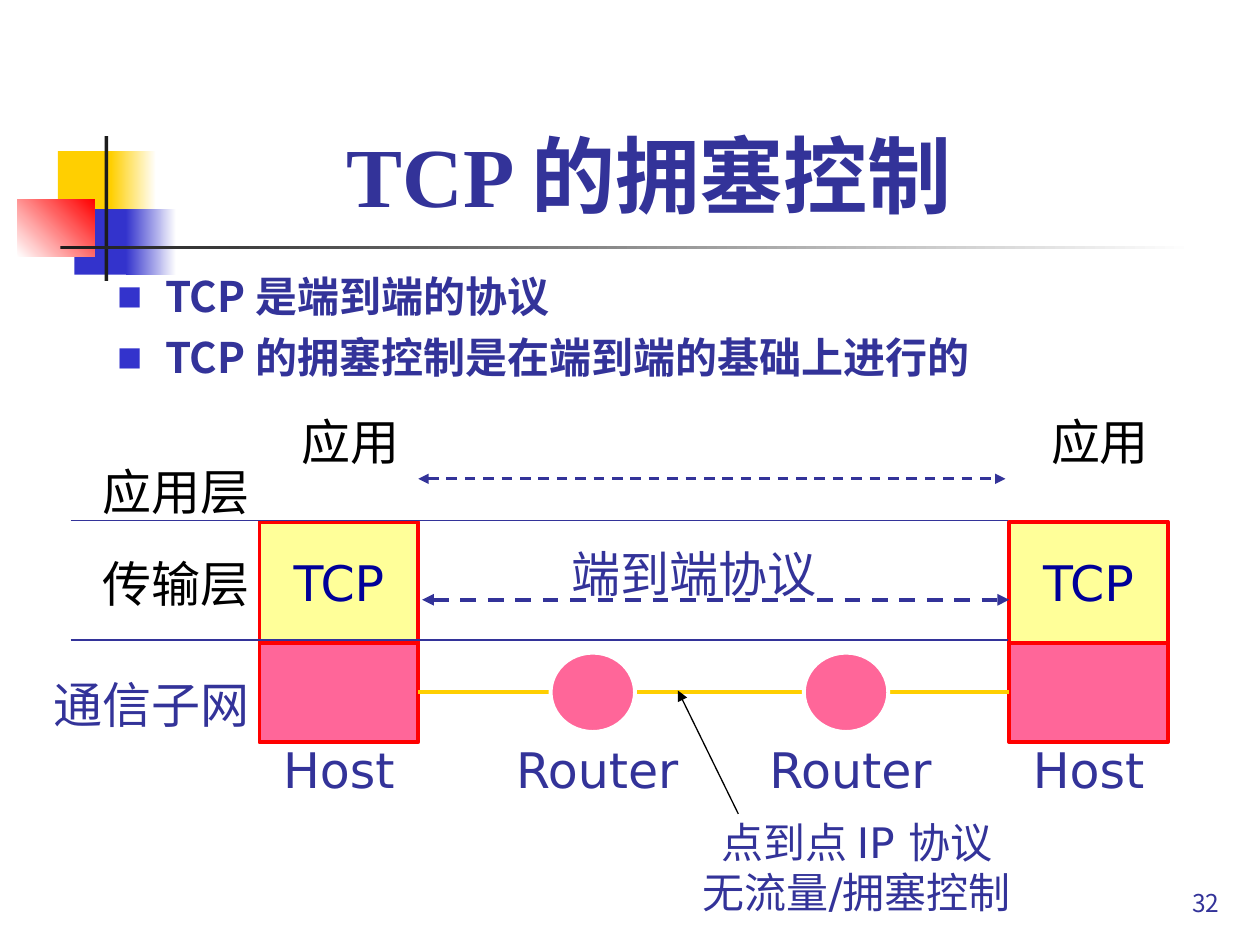
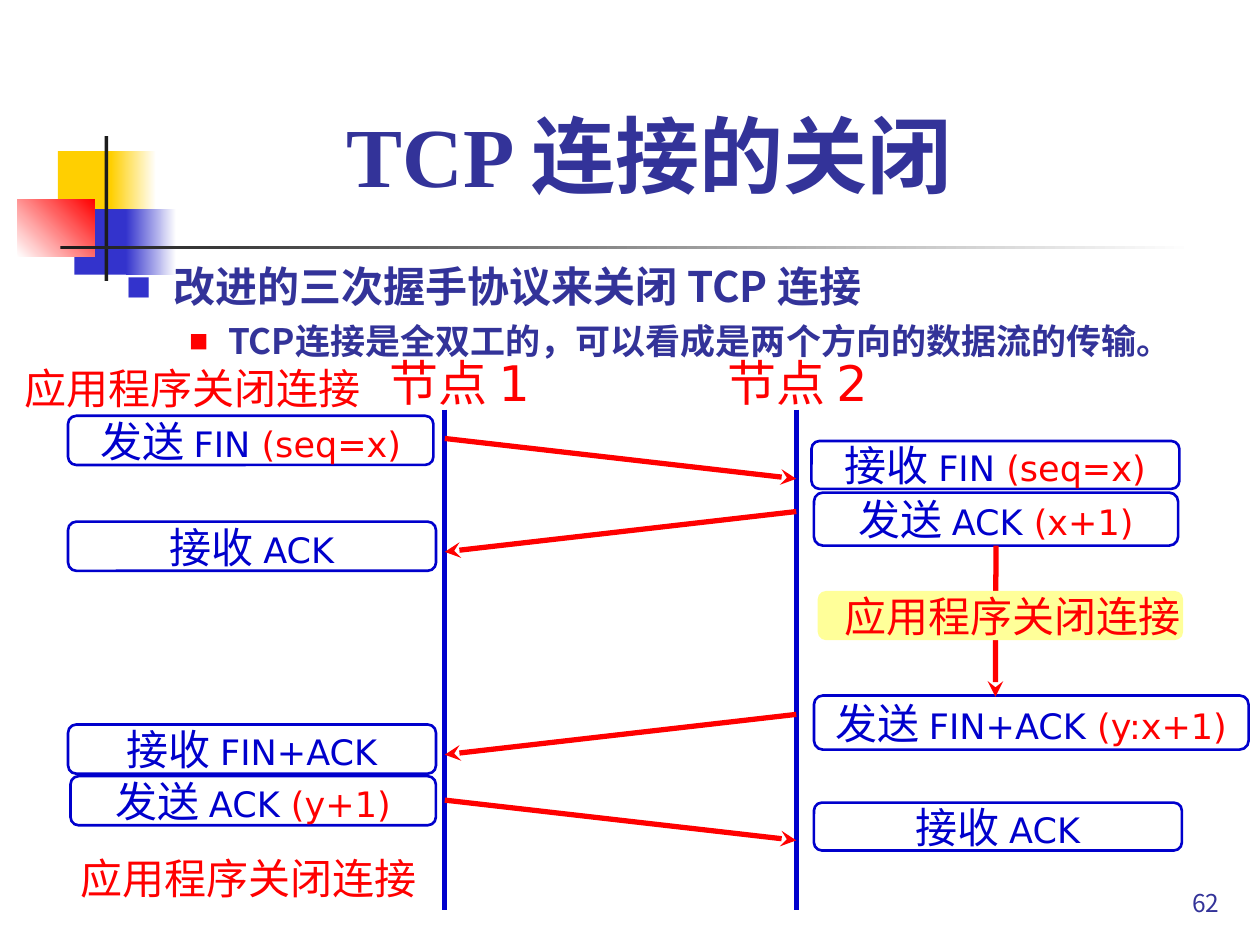
from dataclasses import dataclass
from typing import Optional

from lxml.etree import SubElement
from pptx import Presentation
from pptx.dml.color import RGBColor
from pptx.enum.dml import MSO_LINE
from pptx.enum.shapes import MSO_CONNECTOR, MSO_SHAPE
from pptx.enum.text import MSO_ANCHOR, MSO_AUTO_SIZE, PP_ALIGN
from pptx.oxml.ns import qn
from pptx.util import Emu, Inches, Pt

COLS, ROWS = 100, 75
CELL = Inches(10) // COLS
SANS, CJK, SERIF = "DejaVu Sans", "Noto Sans CJK JP", "Times New Roman"
HUES = {
    "ink": "333399", "navy": "000099", "blue": "0000CC", "bullet": "3333CC",
    "red": "FF0000", "pink": "FF6699", "pale": "FFFF99", "gold": "FFCF01",
    "black": "000000", "dark": "1C1C1C", "white": "FFFFFF",
}
LEFT, MID, RIGHT = PP_ALIGN.LEFT, PP_ALIGN.CENTER, PP_ALIGN.RIGHT
RECT, ROUND, OVAL = MSO_SHAPE.RECTANGLE, MSO_SHAPE.ROUNDED_RECTANGLE, MSO_SHAPE.OVAL


@dataclass
class Box:
    """A place on the grid, in columns and rows."""
    x: float
    y: float
    w: float
    h: float

    def emu(self) -> list[Emu]:
        return [cells(n) for n in (self.x, self.y, self.w, self.h)]


@dataclass
class Look:
    fill: Optional[str] = None
    line: Optional[str] = None
    width: float = 2.25
    fade: Optional[str] = None
    angle: float = 0


@dataclass
class Bit:
    text: str
    size: float = 28
    hue: str = "ink"
    font: str = SANS
    bold: bool = False


@dataclass
class Point:
    """A list entry with its bullet."""
    text: str
    level: int = 0


@dataclass
class Stroke:
    hue: str
    width: float
    dash: bool = False
    head: Optional[str] = None
    tail: Optional[str] = None


@dataclass
class Step:
    """One event of the handshake: verb, segment and numbers."""
    box: Box
    verb: str
    kind: str
    nums: str = ""


# size, margin, hang, space before, bullet colour, bullet percent
LEVELS = [(24, 0.38, -0.38, 6, "bullet", 60), (20, 0.81, -0.31, 5, "red", 55)]

DECOR = [
    (Box(4.6, 12, 4.8, 5.2), Look("gold")),
    (Box(8.8, 12, 3.6, 5.2), Look("gold", fade="white")),
    (Box(5.9, 16.6, 4.6, 5.2), Look("bullet")),
    (Box(10, 16.6, 4, 5.2), Look("bullet", fade="white")),
    (Box(1.4, 15.8, 6.1, 4.6), Look("white", fade="red", angle=45)),
    (Box(8.3, 10.8, 0.3, 11.5), Look("dark")),
    (Box(4.8, 19.5, 90, 0.3), Look("dark", fade="white")),
]


def cells(n: float) -> Emu:
    return Emu(round(n * CELL))


def rgb(hue: str) -> RGBColor:
    return RGBColor.from_string(HUES[hue])


def style(run, bit: Bit) -> None:
    font = run.font
    font.size, font.bold, font.name = Pt(bit.size), bit.bold, bit.font
    font.color.rgb = rgb(bit.hue)
    SubElement(font.element.rPr if hasattr(font, "element") else run._r.rPr,
               qn("a:ea"), typeface=CJK)


def write(shape, lines: list[list[Bit]], align=MID, anchor=MSO_ANCHOR.MIDDLE) -> None:
    frame = shape.text_frame
    frame.auto_size, frame.word_wrap = MSO_AUTO_SIZE.NONE, False
    frame.margin_left = frame.margin_right = frame.margin_top = frame.margin_bottom = 0
    frame.vertical_anchor = anchor
    for i, bits in enumerate(lines):
        para = frame.add_paragraph() if i else frame.paragraphs[0]
        para.alignment = align
        for bit in bits:
            run = para.add_run()
            run.text = bit.text
            style(run, bit)


def label(slide, box: Box, *bits: Bit, align=MID, anchor=MSO_ANCHOR.MIDDLE) -> None:
    """Each bit is a line of its own."""
    write(slide.shapes.add_textbox(*box.emu()), [[b] for b in bits], align, anchor)


def draw(slide, kind, box: Box, look: Look):
    shape = slide.shapes.add_shape(kind, *box.emu())
    shape.shadow.inherit = False
    if look.fade:
        shape.fill.gradient()
        shape.fill.gradient_angle = look.angle
        for stop, hue in zip(shape.fill.gradient_stops, (look.fill, look.fade)):
            stop.color.rgb = rgb(hue)
    elif look.fill:
        shape.fill.solid()
        shape.fill.fore_color.rgb = rgb(look.fill)
    else:
        shape.fill.background()
    if look.line:
        shape.line.color.rgb = rgb(look.line)
        shape.line.width = Pt(look.width)
    else:
        shape.line.fill.background()
    return shape


def link(slide, start: tuple, end: tuple, stroke: Stroke):
    wire = slide.shapes.add_connector(
        MSO_CONNECTOR.STRAIGHT, *[cells(n) for n in start + end])
    wire.line.color.rgb = rgb(stroke.hue)
    wire.line.width = Pt(stroke.width)
    if stroke.dash:
        wire.line.dash_style = MSO_LINE.DASH
    props = wire.element.spPr
    for tag, kind in (("a:headEnd", stroke.head), ("a:tailEnd", stroke.tail)):
        if kind:
            SubElement(props.find(qn("a:ln")), qn(tag), type=kind)
    SubElement(props, qn("a:effectLst"))
    return wire


def place(holder, box: Box) -> None:
    holder.left, holder.top, holder.width, holder.height = box.emu()
    holder.text_frame.auto_size = MSO_AUTO_SIZE.NONE


def list_out(para, level: int) -> None:
    size, margin, hang, before, hue, share = LEVELS[level]
    para.level, para.space_before = level, Pt(before)
    style(para.runs[0], Bit("", size, "ink", CJK, True))
    props = para._p.get_or_add_pPr()
    props.set("marL", str(Inches(margin)))
    props.set("indent", str(Inches(hang)))
    SubElement(SubElement(props, qn("a:buClr")), qn("a:srgbClr"), val=HUES[hue])
    SubElement(props, qn("a:buSzPct"), val=str(share * 1000))
    SubElement(props, qn("a:buFont"), typeface=CJK)
    SubElement(props, qn("a:buChar"), char="■")


def start(deck, title: str, head: Box, points: list[Point], body: Box, number: int):
    """Add a slide with its title, list and page number."""
    slide = deck.slides.add_slide(deck.slide_layouts[1])
    top, main = slide.placeholders
    place(top, head)
    top.text_frame.text = title
    top.text_frame.vertical_anchor = MSO_ANCHOR.BOTTOM
    para = top.text_frame.paragraphs[0]
    para.alignment = MID
    style(para.runs[0], Bit("", 48, "ink", SERIF, True))
    place(main, body)
    main.text_frame.text = "\n".join(p.text for p in points)
    for para, point in zip(main.text_frame.paragraphs, points):
        list_out(para, point.level)
    label(slide, Box(78, 68.8, 18.8, 4), Bit(str(number), 14, "ink", CJK),
          align=RIGHT, anchor=MSO_ANCHOR.BOTTOM)
    return slide


def adorn(deck, slide) -> None:
    """Draw the corner blocks and rule, then hand them to the shared layout."""
    tree = deck.slide_layouts[1].shapes.element
    for i, (box, look) in enumerate(DECOR):
        part = draw(slide, RECT, box, look).element
        part.nvSpPr.cNvPr.set("id", str(20 + i))
        tree.append(part)


def control(deck):
    slide = start(deck, "TCP 的拥塞控制", Box(9.8, 9.1, 83.4, 9.2),
                  [Point("TCP 是端到端的协议"), Point("TCP 的拥塞控制是在端到端的基础上进行的")],
                  Box(8.3, 21, 96.8, 12.8), 32)
    nets = []
    for x in (20.6, 80.1):
        nets.append(draw(slide, RECT, Box(x, 51, 12.6, 7.9), Look("pink", "red")))
        tcp = draw(slide, RECT, Box(x, 41.4, 12.6, 9.6), Look("pale", "red"))
        write(tcp, [[Bit("TCP", hue="navy")]])
        label(slide, Box(x + 0.9, 32, 12.6, 6), Bit("应用", hue="black"))
        label(slide, Box(x + 1.1, 58.6, 10.4, 4.9), Bit("Host"))
    wire = link(slide, (33.2, 54.9), (80.1, 54.9), Stroke("gold", 2.25))
    wire.begin_connect(nets[0], 3)
    wire.end_connect(nets[1], 1)
    for x in (43.7, 63.8):
        draw(slide, OVAL, Box(x, 51.8, 6.7, 6.3), Look("pink", "white"))
        label(slide, Box(x - 1.5, 58.6, 10.4, 4.9), Bit("Router"))
    for y, text, hue in ((36.2, "应用层", "black"), (43.5, "传输层", "black"),
                         (53.1, "通信子网", "ink")):
        label(slide, Box(3.8, y, 16, 5.5), Bit(text, hue=hue), align=RIGHT)
    for y in (41.3, 50.8):
        link(slide, (5.6, y), (80, y), Stroke("ink", 0.75))
    for x, y, width in ((33.2, 38, 1.5), (33.5, 47.6, 2.25)):
        link(slide, (x, y), (x + 46.6, y),
             Stroke("ink", width, True, "triangle", "triangle"))
    label(slide, Box(43.8, 43.3, 22.5, 4.4), Bit("端到端协议"))
    label(slide, Box(54.6, 64.8, 26.8, 8),
          Bit("点到点 IP 协议", 24), Bit("无流量/拥塞控制", 24))
    link(slide, (58.6, 64.6), (53.8, 54.8), Stroke("black", 0.75, tail="triangle"))
    return slide


def close(deck) -> None:
    slide = start(deck, "TCP 连接的关闭", Box(9.8, 7.6, 83.4, 9.1),
                  [Point("改进的三次握手协议来关闭 TCP 连接"),
                   Point("TCP连接是全双工的，可以看成是两个方向的数据流的传输。", 1)],
                  Box(9, 20.2, 97.7, 9.7), 62)
    west, east = 35.3, 63.2
    for x, mid, text in ((west, 36.5, "节点 1"), (east, 63.3, "节点 2")):
        label(slide, Box(mid - 6.5, 28.1, 13, 4.4), Bit(text, hue="red"))
        link(slide, (x, 32.5), (x, 72.2), Stroke("blue", 3))
    arrow = Stroke("red", 3, tail="stealth")
    for a, b, y in ((west, east, 34.8), (east, west, 40.6),
                    (east, west, 56.7), (west, east, 63.5)):
        link(slide, (a, y), (b, y + 3.2), arrow)
    steps = [
        Step(Box(5.4, 33, 29, 3.9), "发送 ", "FIN ", "(seq=x)"),
        Step(Box(64.4, 35, 29.2, 3.8), "接收 ", "FIN ", "(seq=x)"),
        Step(Box(5.4, 41.4, 29.2, 3.9), "接收 ", "ACK"),
        Step(Box(64.6, 55.2, 34.5, 4.3), "发送 ", "FIN+ACK ", "(y:x+1)"),
        Step(Box(5.4, 57.5, 29.2, 3.9), "接收 ", "FIN+ACK"),
        Step(Box(5.6, 61.6, 29, 3.9), "发送 ", "ACK ", "(y+1)"),
        Step(Box(64.6, 63.7, 29.2, 3.8), "接收 ", "ACK"),
        Step(Box(64.6, 39.1, 28.9, 4.2), "发送 ", "ACK ", "(x+1)"),
    ]
    for step in steps:
        shape = draw(slide, ROUND, step.box, Look(line="blue", width=1.5))
        bits = [Bit(step.verb, 24, "blue"), Bit(step.kind, 20, "blue")]
        if step.nums:
            bits.append(Bit(step.nums, 20, "red"))
        write(shape, [bits])
    link(slide, (79, 43.3), (79, 55.3), arrow).begin_connect(shape, 2)
    quit = Bit("应用程序关闭连接", 24, "red")
    band = draw(slide, ROUND, Box(64.9, 46.9, 29, 3.9), Look("pale"))
    write(band, [[quit]], RIGHT)
    label(slide, Box(-0.4, 28.8, 29, 3.9), quit, align=RIGHT)
    label(slide, Box(6.4, 67.7, 26.7, 4.4), quit, align=LEFT, anchor=MSO_ANCHOR.TOP)


def main() -> None:
    deck = Presentation()
    deck.slide_width, deck.slide_height = cells(COLS), cells(ROWS)
    adorn(deck, control(deck))
    close(deck)
    deck.save("out.pptx")


if __name__ == "__main__":
    main()
